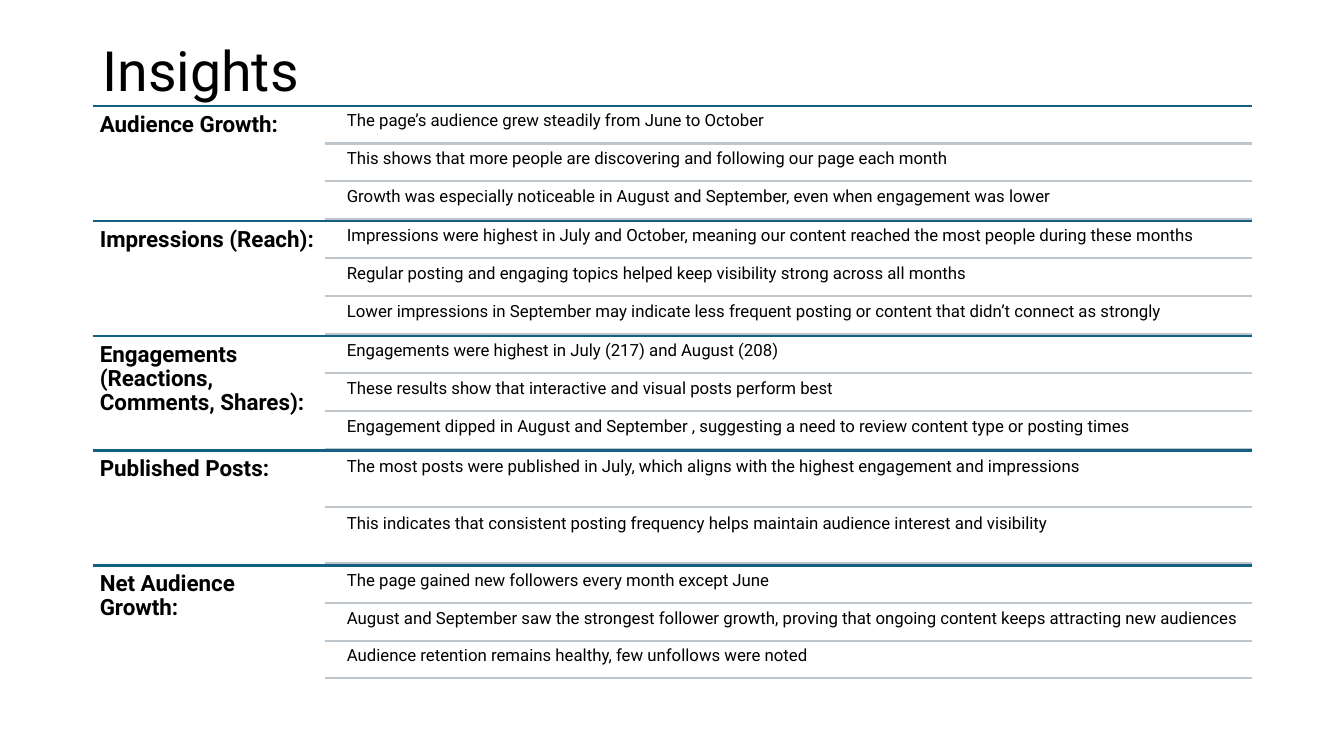
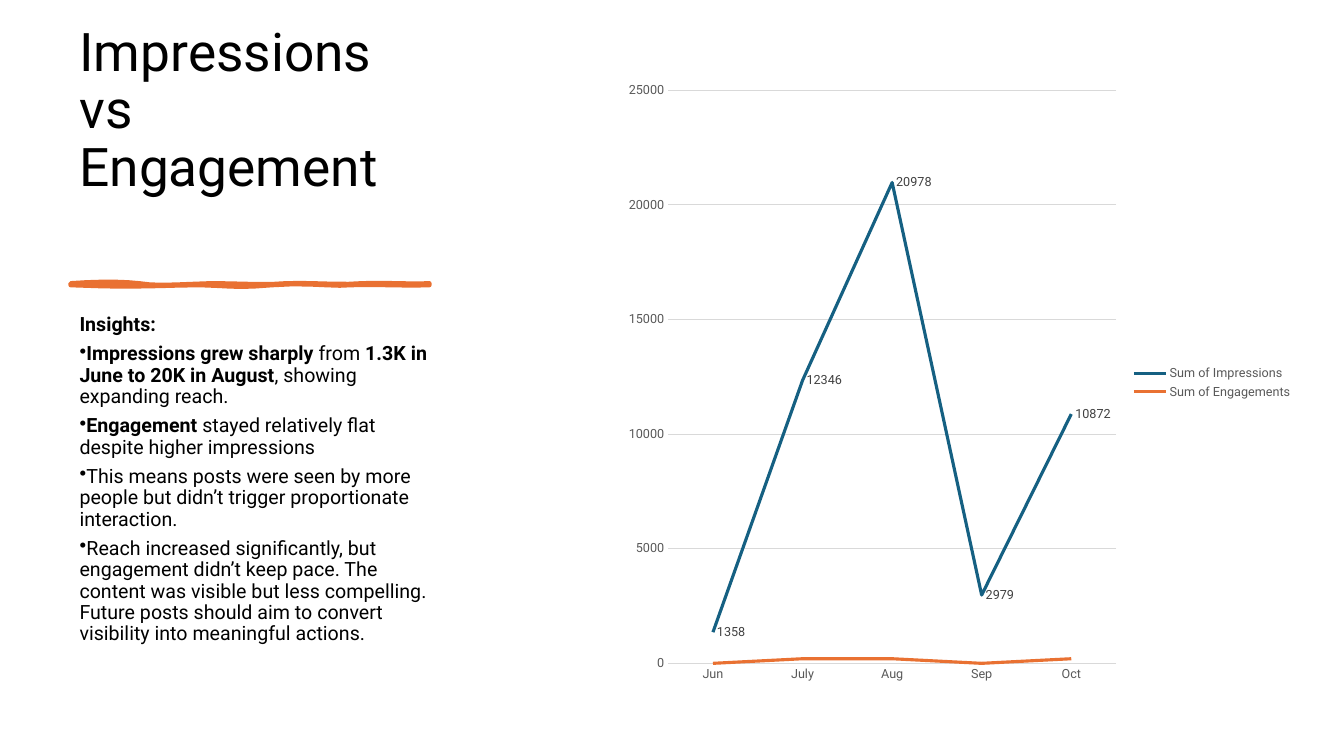
"""Build two slides on audience insights and on impressions vs engagement."""
from lxml.etree import SubElement
from pptx import Presentation
from pptx.chart.data import CategoryChartData
from pptx.dml.color import RGBColor
from pptx.enum.chart import XL_CHART_TYPE, XL_LABEL_POSITION, XL_LEGEND_POSITION, XL_TICK_MARK
from pptx.enum.shapes import MSO_CONNECTOR
from pptx.enum.text import MSO_ANCHOR
from pptx.oxml.ns import qn
from pptx.util import Inches, Pt

FONT = "Roboto"
BLACK, BLUE, ORANGE = "000000", "156082", "E97132"
GREY, GRID, LABEL, DARK = "BDC5CD", "D9D9D9", "595959", "404040"
TITLE = 39.6


def paint(font, size, color):
    font.name, font.size = FONT, Pt(size)
    font.color.rgb = RGBColor.from_string(color)


def write(slide, spot, paras, size, inset=(0.1, 0.05), anchor=MSO_ANCHOR.TOP, after=0):
    frame = slide.shapes.add_textbox(*map(Inches, spot)).text_frame
    frame.word_wrap = True
    frame.vertical_anchor = anchor
    frame.margin_left = frame.margin_right = Inches(inset[0])
    frame.margin_top = frame.margin_bottom = Inches(inset[1])
    for i, runs in enumerate(paras):
        para = frame.add_paragraph() if i else frame.paragraphs[0]
        para.line_spacing, para.space_after = 0.9, Pt(after)
        for words, bold in runs:
            run = para.add_run()
            run.text = words
            paint(run.font, size, BLACK)
            run.font.bold = bold
    return frame


deck = Presentation()
deck.slide_width, deck.slide_height = Inches(13.33), Inches(7.5)
blank = deck.slide_layouts[6]

topics = [
    ("Audience Growth:", [
        "The page’s audience grew steadily from June to October",
        "This shows that more people are discovering and following our page each month",
        "Growth was especially noticeable in August and September, even when engagement was lower"]),
    ("Impressions (Reach):", [
        "Impressions were highest in July and October, meaning our content reached the most people during these months",
        "Regular posting and engaging topics helped keep visibility strong across all months",
        "Lower impressions in September may indicate less frequent posting or content that didn’t connect as strongly"]),
    ("Engagements (Reactions, Comments, Shares):", [
        "Engagements were highest in July (217) and August (208)",
        "These results show that interactive and visual posts perform best",
        "Engagement dipped in August and September , suggesting a need to review content type or posting times"]),
    ("Published Posts:", [
        "The most posts were published in July, which aligns with the highest engagement and impressions",
        "This indicates that consistent posting frequency helps maintain audience interest and visibility"]),
    ("Net Audience Growth:", [
        "The page gained new followers every month except June",
        "August and September saw the strongest follower growth, proving that ongoing content keeps attracting new audiences",
        "Audience retention remains healthy, few unfollows were noted"]),
]

slide = deck.slides.add_slide(blank)
write(slide, (0.92, 0.4, 11.5, 0.65), [[("Insights", False)]], TITLE, anchor=MSO_ANCHOR.MIDDLE)
rules = []
for n, (head, facts) in enumerate(topics):
    top = 1.05 + 1.14 * n
    step = 1.12 / len(facts)
    rules.append((0.92, top, BLUE))
    write(slide, (0.92, top, 2.3, 1.14), [[(head, True)]], 16, (0.07, 0.07))
    for i, fact in enumerate(facts):
        spot = (3.39, top + step * i + 0.05 / len(facts), 9.03, step - 0.02)
        write(slide, spot, [[(fact, False)]], 12, (0.05, 0.05))
        rules.append((3.22, top + step * (i + 1), GREY))
for left, y, color in rules:
    rule = slide.shapes.add_connector(
        MSO_CONNECTOR.STRAIGHT, Inches(left), Inches(y), Inches(12.42), Inches(y))
    rule.line.color.rgb = RGBColor.from_string(color)
    rule.line.width = Pt(1.5)
    SubElement(rule._element.spPr, qn("a:effectLst"))

slide = deck.slides.add_slide(blank)
write(slide, (0.69, 0.2, 3.5, 1.81), [[("Impressions vs Engagement", False)]], 38,
      anchor=MSO_ANCHOR.BOTTOM)

start = (0.7, 2.81)
curves = [
    ((0.97, 2.79), (1.21, 2.79), (1.38, 2.81)), ((1.55, 2.84), (1.77, 2.82), (2.09, 2.81)),
    ((2.41, 2.81), (2.6, 2.83), (2.84, 2.81)), ((3.08, 2.8), (3.39, 2.83), (3.59, 2.81)),
    ((3.79, 2.8), (4.12, 2.82), (4.26, 2.81)), ((4.26, 2.82), (4.26, 2.83), (4.26, 2.83)),
    ((4.08, 2.84), (3.64, 2.82), (3.48, 2.83)), ((3.32, 2.85), (3.04, 2.8), (2.7, 2.83)),
    ((2.35, 2.86), (2.31, 2.84), (1.99, 2.83)), ((1.66, 2.83), (1.32, 2.86), (0.7, 2.83)),
]
dots, last = [], start
for a, b, end in curves:
    for t in (0.2, 0.4, 0.6, 0.8, 1):
        u = 1 - t
        dots.append(tuple(
            Inches(u**3 * p + 3 * u * u * t * q + 3 * u * t * t * r + t**3 * s)
            for p, q, r, s in zip(last, a, b, end)))
    last = end
pen = slide.shapes.build_freeform(*map(Inches, start))
pen.add_line_segments(dots, close=True)
stroke = pen.convert_to_shape()
stroke.shadow.inherit = False
stroke.fill.solid()
stroke.fill.fore_color.rgb = stroke.line.color.rgb = RGBColor.from_string(ORANGE)
stroke.line.width = Pt(3)

notes = [
    [("Insights:", True)],
    [("Impressions grew sharply", True), (" from ", False),
     ("1.3K in June to 20K in August", True), (", showing expanding reach.", False)],
    [("Engagement", True), (" stayed relatively flat despite higher impressions", False)],
    [("This means posts were seen by more people but didn’t trigger proportionate interaction.", False)],
    [("Reach increased significantly, but engagement didn’t keep pace. The content was visible but "
      "less compelling. Future posts should aim to convert visibility into meaningful actions.", False)],
]
frame = write(slide, (0.69, 3.07, 3.75, 3.73), notes, 14, after=6)
for para in frame.paragraphs[1:]:
    props = para._p.get_or_add_pPr()
    props.set("marL", "0")
    props.set("indent", str(-Inches(0.25)))
    SubElement(props, qn("a:buChar"), char="•")

data = CategoryChartData()
data.categories = ["Jun", "July", "Aug", "Sep", "Oct"]
data.add_series("Sum of Impressions", [1358, 12346, 20978, 2979, 10872])
data.add_series("Sum of Engagements", [0, 200, 200, 0, 200])
chart = slide.shapes.add_chart(
    XL_CHART_TYPE.LINE, *map(Inches, (6.1, 0.7, 6.82, 6.19)), data).chart
paint(chart.font, 10, BLACK)
chart.has_title = False
chart.has_legend = True
chart.legend.position = XL_LEGEND_POSITION.RIGHT
chart.legend.include_in_layout = False
paint(chart.legend.font, 9, LABEL)

months, scale = chart.category_axis, chart.value_axis
for axis in (months, scale):
    axis.major_tick_mark = axis.minor_tick_mark = XL_TICK_MARK.NONE
    paint(axis.tick_labels.font, 9, LABEL)
scale.minimum_scale, scale.maximum_scale, scale.major_unit = 0, 25000, 5000
scale.format.line.fill.background()
scale.has_major_gridlines = True
for edge in (months.format.line, scale.major_gridlines.format.line):
    edge.color.rgb = RGBColor.from_string(GRID)
    edge.width = Pt(0.75)

plot = chart.plots[0]
plot.vary_by_categories = False
for series, color in zip(plot.series, (BLUE, ORANGE)):
    series.smooth = False
    series.format.line.color.rgb = RGBColor.from_string(color)
    series.format.line.width = Pt(2.25)
labels = plot.series[0].data_labels
labels.show_value = True
labels.position = XL_LABEL_POSITION.RIGHT
paint(labels.font, 9, DARK)

deck.save("out.pptx")
